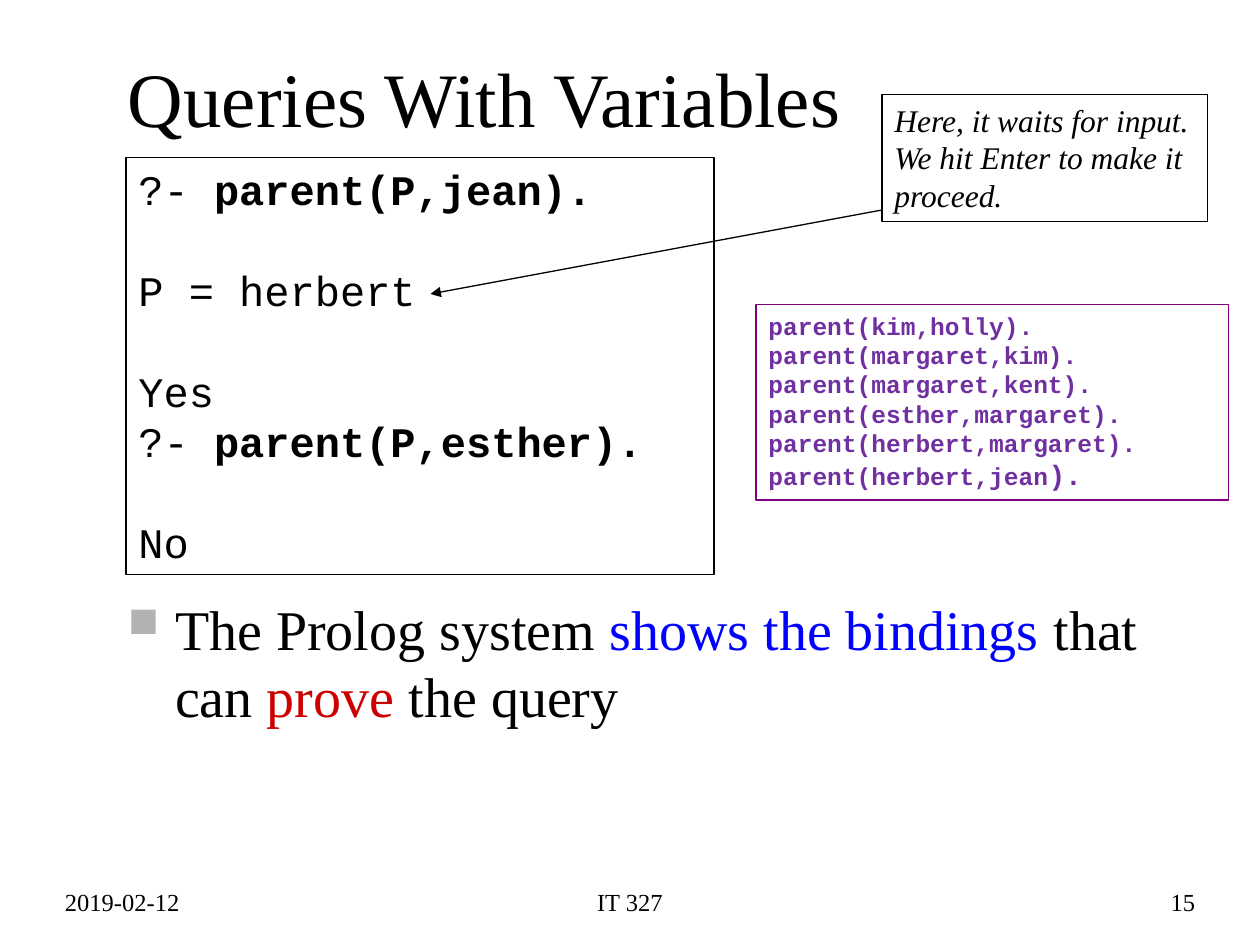
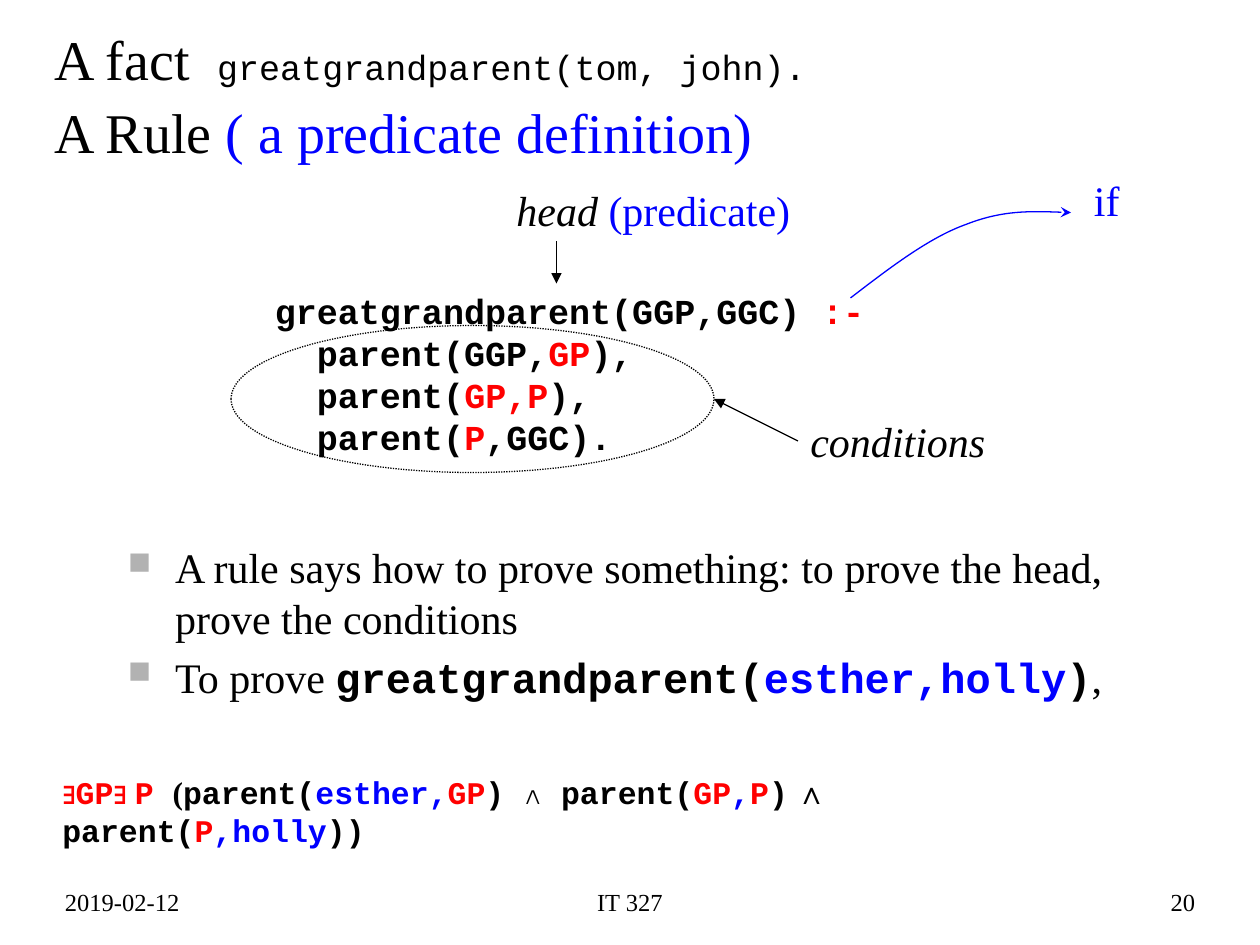
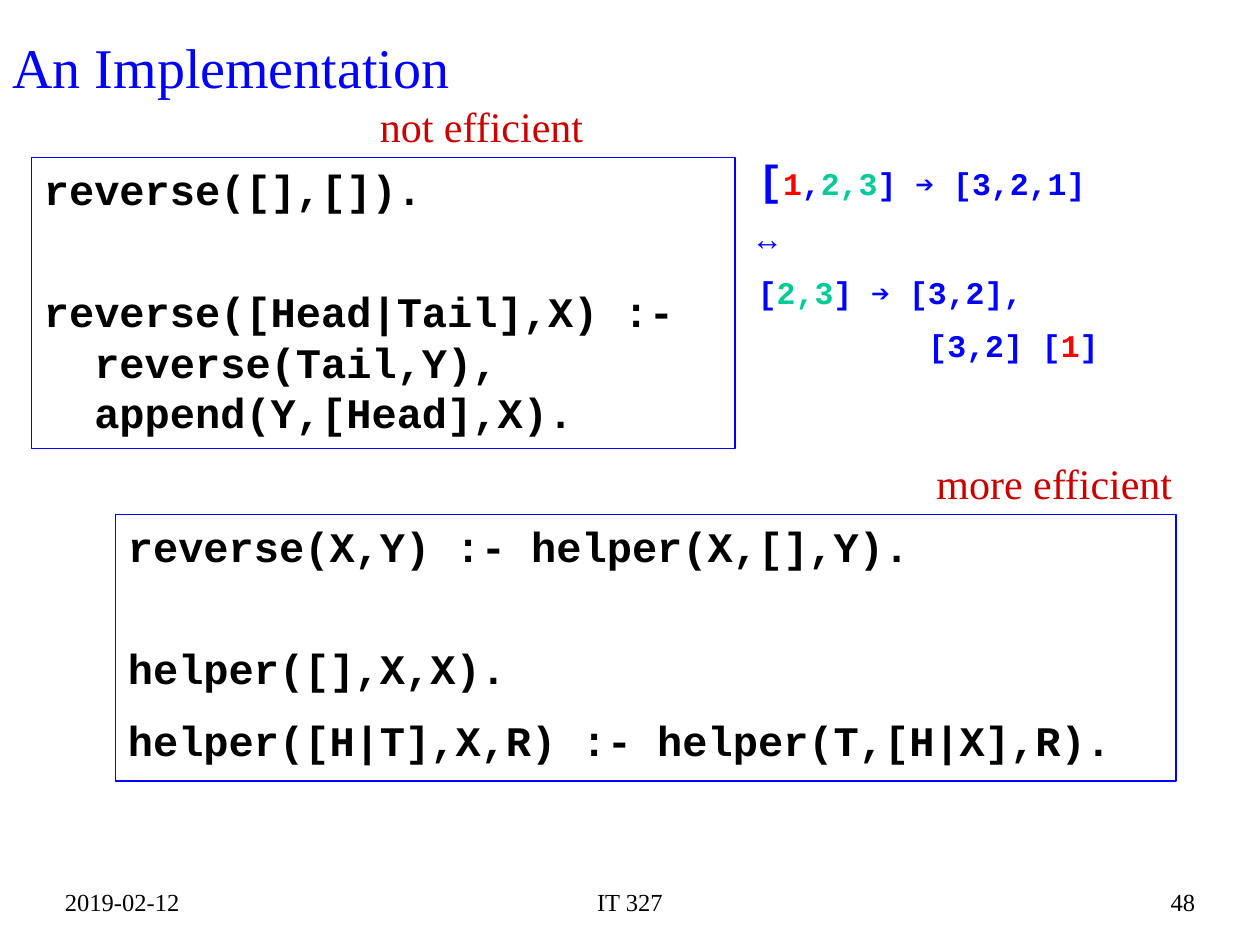
from copy import deepcopy
from dataclasses import dataclass
from typing import Optional, Union

from lxml.etree import SubElement
from pptx import Presentation
from pptx.dml.color import RGBColor
from pptx.enum.dml import MSO_LINE
from pptx.enum.shapes import MSO_CONNECTOR, MSO_SHAPE
from pptx.enum.text import MSO_ANCHOR as ANCHOR, PP_ALIGN as ALIGN
from pptx.oxml.ns import qn
from pptx.util import Pt

PX = 9525  # EMU per px, 96 px to the inch
SERIF, MONO = "Times New Roman", "Courier New"
COLORS = {
    "black": "000000", "white": "FFFFFF", "blue": "0000FF", "red": "FF0000",
    "crimson": "CC0000", "green": "00CC99", "purple": "7030A0",
    "plum": "800080", "gray": "B2B2B2",
}


@dataclass(frozen=True)
class Box:
    left: int
    top: int
    width: int
    height: int

    def emu(self) -> list[int]:
        return [n * PX for n in (self.left, self.top, self.width, self.height)]


@dataclass(frozen=True)
class Run:
    """A stretch of text; unset fields follow the text box."""
    text: str
    color: Optional[str] = None
    size: Optional[int] = None
    font: Optional[str] = None
    bold: Optional[bool] = None
    italic: Optional[bool] = None


@dataclass(frozen=True)
class Para:
    runs: tuple[Union[str, Run], ...]
    before: int = 0
    bullet: bool = False
    indent: int = 0
    tab: int = 0


@dataclass(frozen=True)
class Arrow:
    start: tuple[int, int]
    end: tuple[int, int]


def para(*runs: Union[str, Run], **layout) -> Para:
    return Para(runs, **layout)


def rgb(name: str) -> RGBColor:
    return RGBColor.from_string(COLORS[name])


# --- Text -----------------------------------------------------------------

def lay_out(paragraph, layout: Para) -> None:
    """Set indents, bullet, tab stop and spacing."""
    props = paragraph._p.get_or_add_pPr()
    if layout.bullet:
        props.set("marL", str(36 * PX))
        props.set("indent", str(-36 * PX))
        color = SubElement(props, qn("a:buClr"))
        SubElement(color, qn("a:srgbClr"), val=COLORS["gray"])
        SubElement(props, qn("a:buSzPct"), val="75000")
        SubElement(props, qn("a:buChar"), char="■")
    if layout.indent:
        props.set("marL", str(layout.indent * PX))
    if layout.tab:
        stops = SubElement(props, qn("a:tabLst"))
        SubElement(stops, qn("a:tab"), pos=str(layout.tab * PX), algn="l")
    if layout.before:
        paragraph.space_before = Pt(layout.before)


def add_run(paragraph, part: Run, defaults: Run) -> None:
    """Write one run, turning each newline into a line break."""
    def pick(field: str):
        own = getattr(part, field)
        return getattr(defaults, field) if own is None else own

    for number, line in enumerate(part.text.split("\n")):
        if number:
            paragraph.add_line_break()
            paragraph._p[-1].append(deepcopy(written._r.get_or_add_rPr()))
        if not line:
            continue
        written = paragraph.add_run()
        written.text = line
        font = written.font
        font.name, font.size = pick("font"), Pt(pick("size"))
        font.bold, font.italic = pick("bold"), pick("italic")
        font.color.rgb = rgb(pick("color"))


def write(slide, box: Box, *paras: Para, size: int, font: str = SERIF,
          color: str = "black", bold: bool = False, italic: bool = False,
          align=ALIGN.LEFT, anchor=ANCHOR.TOP, wrap: bool = True,
          border: Optional[str] = None, fill: Optional[str] = None) -> None:
    """Place text, in a framed rectangle if a border is given."""
    if border:
        holder = slide.shapes.add_shape(MSO_SHAPE.RECTANGLE, *box.emu())
        outline(holder, border)
        if fill:
            holder.fill.solid()
            holder.fill.fore_color.rgb = rgb(fill)
    else:
        holder = slide.shapes.add_textbox(*box.emu())
    frame = holder.text_frame
    frame.word_wrap, frame.vertical_anchor = wrap, anchor
    defaults = Run("", color, size, font, bold, italic)
    for number, layout in enumerate(paras):
        paragraph = frame.add_paragraph() if number else frame.paragraphs[0]
        paragraph.alignment = align
        lay_out(paragraph, layout)
        for part in layout.runs:
            add_run(paragraph, Run(part) if isinstance(part, str) else part, defaults)


# --- Lines and outlines ---------------------------------------------------

def outline(shape, color: str) -> None:
    shape.shadow.inherit = False
    shape.fill.background()
    shape.line.color.rgb = rgb(color)
    shape.line.width = Pt(0.75)


def add_head(shape, kind: str) -> None:
    SubElement(shape.line._get_or_add_ln(), qn("a:tailEnd"), type=kind)


def draw_arrow(slide, arrow: Arrow) -> None:
    ends = [n * PX for n in arrow.start + arrow.end]
    line = slide.shapes.add_connector(MSO_CONNECTOR.STRAIGHT, *ends)
    line.line.color.rgb = rgb("black")
    line.line.width = Pt(0.75)
    add_head(line, "triangle")
    SubElement(line._element.spPr, qn("a:effectLst"))


def draw_curve(slide, start: tuple[int, int], controls: list[tuple[int, int]],
               color: str) -> None:
    """Draw cubic curves; every three points after the start make one."""
    builder = slide.shapes.build_freeform(*start, scale=PX)
    builder.add_line_segments(controls, close=False)
    curve = builder.convert_to_shape()
    outline(curve, color)
    add_head(curve, "stealth")
    route = next(curve._element.iter(qn("a:path")))
    legs = route.findall(qn("a:lnTo"))
    for first in range(0, len(legs), 3):
        cubic = SubElement(route, qn("a:cubicBezTo"))
        for leg in legs[first:first + 3]:
            cubic.append(leg[0])
            route.remove(leg)


# --- Shared parts ---------------------------------------------------------

def add_title(slide, box: Box, *runs: Union[str, Run], size: int = 32,
              color: str = "black", tab: int = 0) -> None:
    write(slide, box, para(*runs, tab=tab), size=size, color=color, anchor=ANCHOR.MIDDLE)


def add_footer(slide, number: int) -> None:
    for text, left, width, align in (
        ("2019-02-12", 40, 272, ALIGN.LEFT),
        ("IT 327", 328, 304, ALIGN.CENTER),
        (str(number), 720, 200, ALIGN.RIGHT),
    ):
        write(slide, Box(left, 663, width, 48), para(text), size=14,
              align=align, anchor=ANCHOR.MIDDLE)


def new_slide(deck, number: int):
    slide = deck.slides.add_slide(deck.slide_layouts[6])
    add_footer(slide, number)
    return slide


# --- Slides ---------------------------------------------------------------

def build_queries(deck) -> None:
    slide = new_slide(deck, 15)
    add_title(slide, Box(88, 16, 816, 116), "Queries With Variables", size=44)
    write(slide, Box(88, 448, 816, 136),
          para("The Prolog system ", Run("shows the bindings", "blue"),
               " that can ", Run("prove", "crimson"), " the query", bullet=True),
          size=32)
    # Session and the note on it
    write(slide, Box(96, 120, 448, 318),
          para("?- ", Run("parent(P,jean).\n\n", bold=True),
               "P = herbert\n\nYes\n?- ",
               Run("parent(P,esther).\n\n", bold=True), "No"),
          size=24, font=MONO, border="black")
    write(slide, Box(672, 72, 248, 97),
          para("Here, it waits for input. We hit Enter to make it proceed."),
          size=18, italic=True, border="black")
    draw_arrow(slide, Arrow((672, 160), (328, 224)))
    # Facts
    pairs = ("kim,holly", "margaret,kim", "margaret,kent", "esther,margaret",
             "herbert,margaret")
    facts = "".join(f"parent({pair}).\n" for pair in pairs)
    write(slide, Box(576, 232, 360, 149),
          para(facts + "parent(herbert,jean", Run(").", size=16)),
          size=14, font=MONO, bold=True, color="purple", border="plum", fill="white")


def build_rule(deck) -> None:
    slide = new_slide(deck, 20)
    add_title(slide, Box(32, 16, 608, 56), "A fact\t",
              Run("greatgrandparent(tom, john).", size=20, font=MONO), tab=124)
    add_title(slide, Box(32, 72, 608, 56), "A Rule ",
              Run("( a predicate definition)", "blue"))
    write(slide, Box(88, 408, 816, 136),
          para("A rule says how to prove something: to prove the head, "
               "prove the conditions", bullet=True),
          para("To prove ", Run("greatgrandparent(", font=MONO, bold=True),
               Run("esther,holly", "blue", font=MONO, bold=True),
               Run(")", font=MONO, bold=True), ",", bullet=True, before=5),
          size=24)
    # The rule and its parts
    write(slide, Box(200, 216, 584, 137),
          para("greatgrandparent(GGP,GGC) ", Run(":-\n", "red"),
               "  parent(GGP,", Run("GP", "red"),
               "),\n  parent(", Run("GP,P", "red"),
               "),\n  parent(", Run("P", "red"), ",GGC)."),
          size=20, font=MONO, bold=True)
    ring = slide.shapes.add_shape(MSO_SHAPE.OVAL, *Box(176, 248, 368, 112).emu())
    outline(ring, "black")
    ring.line.dash_style = MSO_LINE.ROUND_DOT
    for box, runs in (
        (Box(608, 312, 153, 48), [Run("conditions", italic=True)]),
        (Box(384, 136, 228, 48), [Run("head ", italic=True), Run("(predicate)", "blue")]),
        (Box(824, 128, 47, 48), [Run("if", "blue")]),
    ):
        write(slide, box, para(*runs), size=24, wrap=False)
    for arrow in (Arrow((608, 336), (544, 304)), Arrow((424, 184), (424, 216))):
        draw_arrow(slide, arrow)
    draw_curve(slide, (648, 227), [(678, 204), (708, 181), (736, 171),
                                   (764, 160), (790, 161), (816, 162)], "blue")
    # The goal to prove
    write(slide, Box(38, 584, 831, 38),
          para(Run("∃", "red", font=SERIF), Run("GP", "red"),
               Run("∃ ", "red", font=SERIF), Run("P ", "red"),
               Run("(", font=SERIF), "parent(", Run("esther,", "blue"),
               Run("GP", "red"), ") ∧ parent(", Run("GP", "red"),
               Run(",", "blue"), Run("P", "red"), ")", Run(" ∧ ", font=SERIF),
               "parent(", Run("P", "red"), Run(",holly", "blue"), "))"),
          size=18, font=MONO, bold=True, wrap=False)


def build_implementation(deck) -> None:
    slide = new_slide(deck, 48)
    add_title(slide, Box(0, 0, 376, 100), "An Implementation", color="blue")
    # Two versions of reverse
    versions = (
        (Box(24, 120, 536, 222),
         [para("reverse([],[])."),
          para("reverse([Head|Tail],X) :-\n  reverse(Tail,Y),\n"
               "  append(Y,[Head],X).", before=41)]),
        (Box(88, 392, 808, 203),
         [para("reverse(X,Y) :- helper(X,[],Y)."),
          para("helper([],X,X).", before=41),
          para("helper([H|T],X,R) :- helper(T,[H|X],R).", before=12)]),
    )
    for box, paras in versions:
        write(slide, box, *paras, size=24, font=MONO, bold=True, border="blue")
    for box, verdict in ((Box(280, 72, 175, 48), "not efficient"),
                         (Box(704, 344, 208, 48), "more efficient")):
        write(slide, box, para(verdict), size=24, color="crimson", wrap=False)
    # Worked example
    write(slide, Box(568, 112, 392, 178),
          para(Run("[", size=24), Run("1", "red"), ",", Run("2,3", "green"),
               "] ➔ [3,2,1]"),
          para("↔", before=9),
          para("[", Run("2,3", "green"), "] ➔ [3,2],", before=9),
          para("[3,2] [", Run("1", "red"), "]", before=9, indent=130),
          size=18, font=MONO, bold=True, color="blue")


def main() -> None:
    deck = Presentation()
    deck.slide_width, deck.slide_height = 960 * PX, 720 * PX
    for build in (build_queries, build_rule, build_implementation):
        build(deck)
    deck.save("out.pptx")


if __name__ == "__main__":
    main()
